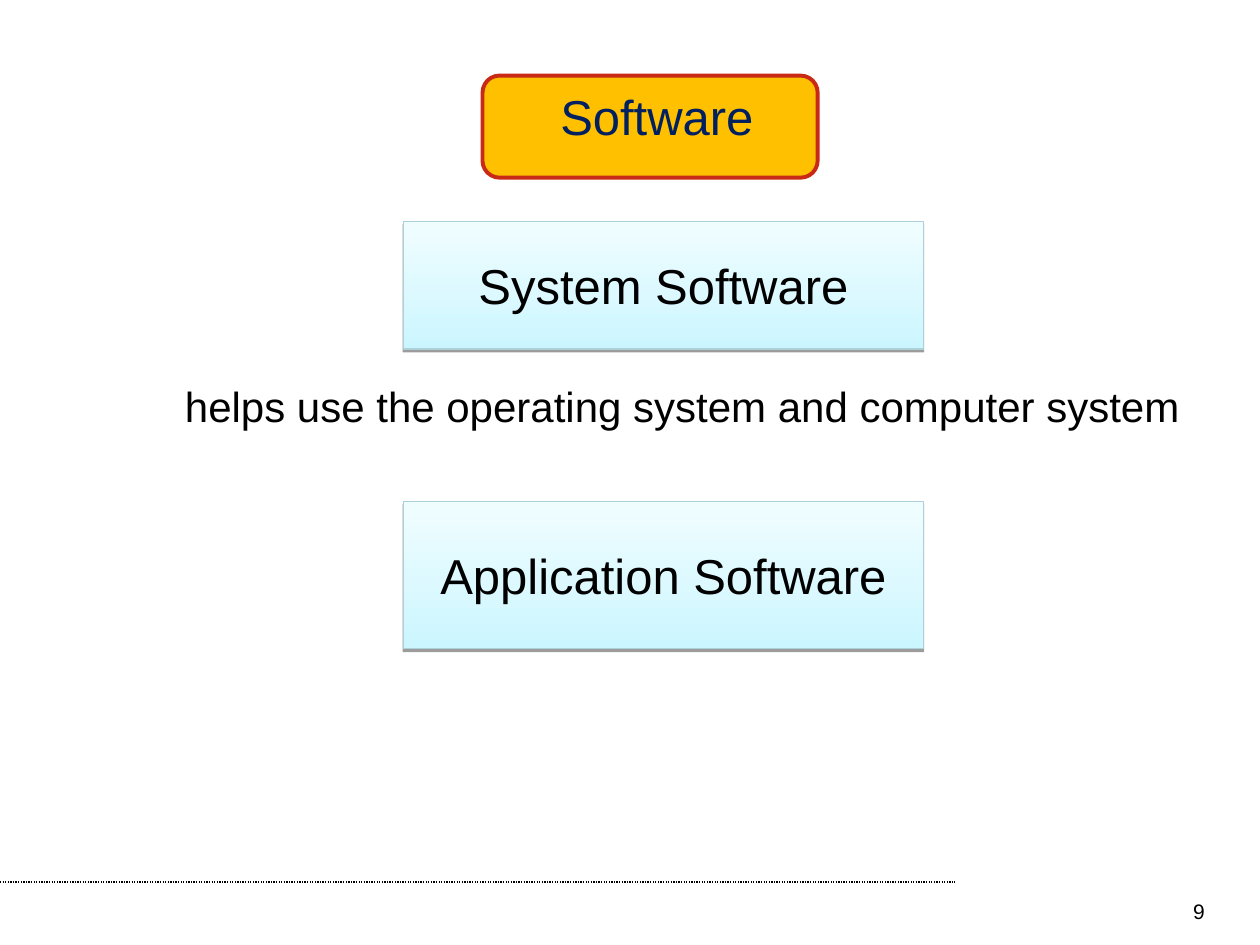
import pptx
import pptx.dml.color
import pptx.enum.dml
import pptx.enum.shapes
import pptx.enum.text
import pptx.oxml
import pptx.oxml.ns
import pptx.util

COLOURS = {
    "ink": "000000",
    "navy": "002060",
    "amber": "FFC000",
    "red": "C92A15",
    "aqua": "CCF6FF",
    "ice": "F0FDFF",
    "rim": "ADD1D8",
}
COLUMNS, ROWS = 100, 75
ALIGN = pptx.enum.text.PP_ALIGN
ANCHOR = pptx.enum.text.MSO_ANCHOR
SHAPE = pptx.enum.shapes.MSO_SHAPE


def colour(name):
    return pptx.dml.color.RGBColor.from_string(COLOURS[name])


class SlideBuilder:
    """Holds the style and the current slide, placed on a grid of columns and rows."""

    font = "Arial"

    def __init__(self, deck):
        self.page = deck.slides.add_slide(deck.slide_layouts[6])
        self.column = deck.slide_width / COLUMNS
        self.row = deck.slide_height / ROWS

    def place(self, left, top, width, height):
        return [round(value * unit) for value, unit in
                zip((left, top, width, height), (self.column, self.row) * 2)]

    def label(self, box, text, size, ink="ink", align=ALIGN.LEFT, anchor=ANCHOR.TOP, wrap=True):
        frame = box.text_frame
        frame.word_wrap = wrap
        frame.vertical_anchor = anchor
        para = frame.paragraphs[0]
        para.alignment = align
        span = para.add_run()
        span.text = text
        span.font.name = self.font
        span.font.size = pptx.util.Pt(size)
        span.font.color.rgb = colour(ink)

    def outline(self, line, name, width):
        line.color.rgb = colour(name)
        line.width = pptx.util.Pt(width)

    def effects(self, element, content=""):
        namespace = pptx.oxml.ns.nsdecls("a")
        element.spPr.append(pptx.oxml.parse_xml(
            f"<a:effectLst {namespace}>{content}</a:effectLst>"))

    def text(self, area, text, size, align=ALIGN.LEFT):
        box = self.page.shapes.add_textbox(*self.place(*area))
        self.label(box, text, size, align=align)
        return box

    def heading(self, area, text):
        box = self.page.shapes.add_shape(SHAPE.ROUNDED_RECTANGLE, *self.place(*area))
        box.shadow.inherit = False
        box.fill.solid()
        box.fill.fore_color.rgb = colour("amber")
        self.outline(box.line, "red", 2.25)
        self.label(box, text, 28, "navy", ALIGN.CENTER, wrap=False)

    def panel(self, area, text):
        box = self.page.shapes.add_shape(SHAPE.RECTANGLE, *self.place(*area))
        box.fill.gradient()
        box.fill.gradient_angle = 90
        for stop, name, position in zip(box.fill.gradient_stops, ("aqua", "ice"), (0, 1)):
            stop.color.rgb = colour(name)
            stop.position = position
        self.outline(box.line, "rim", 0.75)
        self.effects(box._element, (
            f'<a:outerShdw blurRad="0" dist="{pptx.util.Pt(1.6)}" dir="5400000" rotWithShape="0">'
            f'<a:srgbClr val="{COLOURS["ink"]}"><a:alpha val="38000"/></a:srgbClr></a:outerShdw>'))
        self.label(box, text, 28, align=ALIGN.CENTER, anchor=ANCHOR.MIDDLE, wrap=False)

    def rule(self, left, right, row):
        begin = self.place(left, row, 0, 0)[:2]
        end = self.place(right, row, 0, 0)[:2]
        line = self.page.shapes.add_connector(
            pptx.enum.shapes.MSO_CONNECTOR.STRAIGHT, *begin, *end)
        self.outline(line.line, "ink", 0.75)
        line.line.dash_style = pptx.enum.dml.MSO_LINE.ROUND_DOT
        self.effects(line._element)


def main():
    deck = pptx.Presentation()
    deck.slide_width = pptx.util.Inches(10)
    deck.slide_height = pptx.util.Inches(7.5)
    slide = SlideBuilder(deck)
    slide.rule(0, 75.8, 70)
    slide.text((73.3, 70.8, 23.3, 2.7), "9", 12, ALIGN.RIGHT)
    slide.heading((38.3, 6, 26.6, 8.1), " Software")
    for top, height, name in ((17.6, 10.1, "System Software"),
                              (39.8, 11.7, "Application Software")):
        slide.panel((32, top, 41.3, height), name)
    caption = slide.text((13.7, 29.7, 83, 5),
                         "helps use the operating system and computer system", 24)
    caption.text_frame.auto_size = pptx.enum.text.MSO_AUTO_SIZE.SHAPE_TO_FIT_TEXT
    deck.save("out.pptx")


if __name__ == "__main__":
    main()
